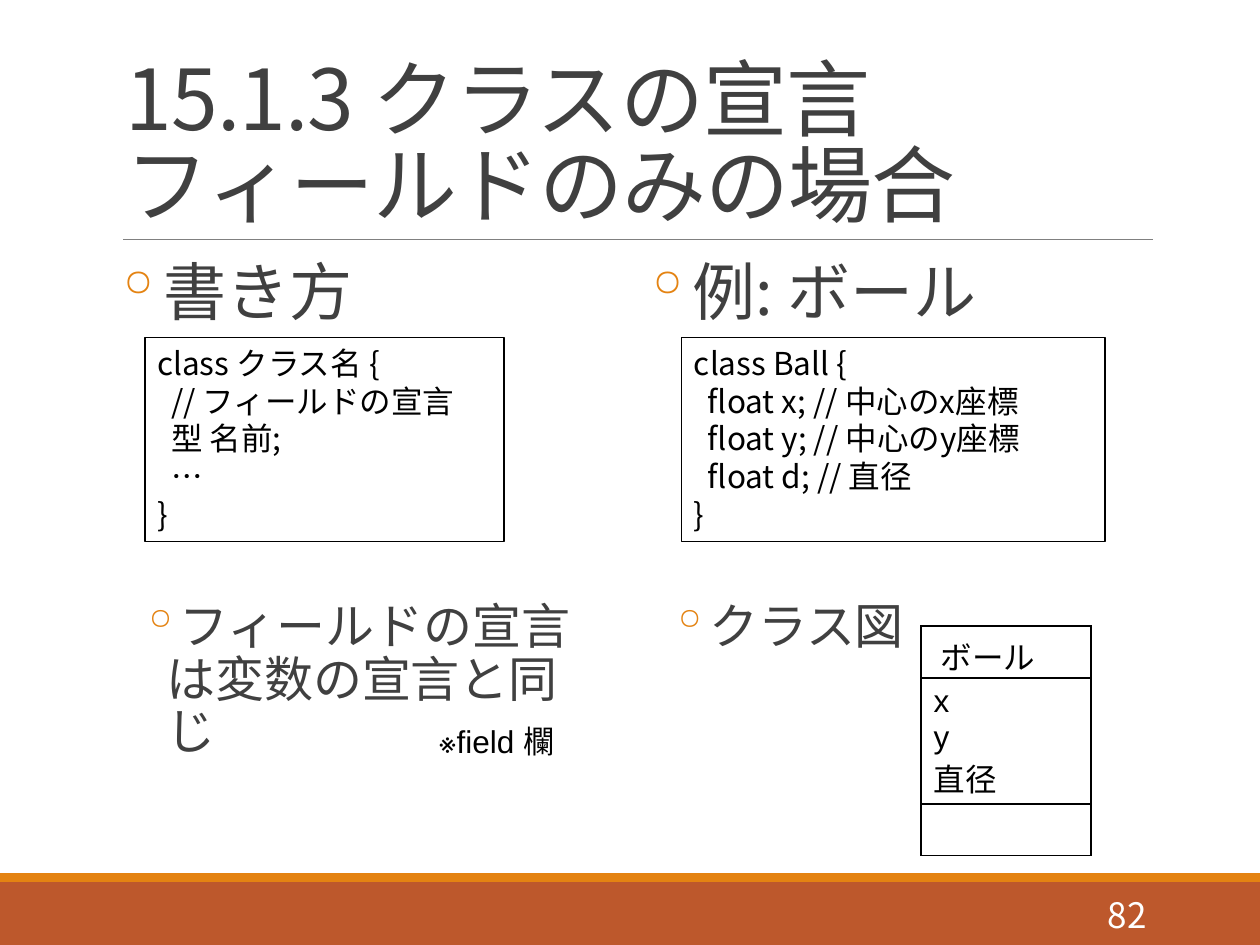
from lxml.etree import SubElement
from pptx import Presentation
from pptx.dml.color import RGBColor
from pptx.enum.shapes import MSO_CONNECTOR, MSO_SHAPE
from pptx.enum.text import MSO_ANCHOR, PP_ALIGN
from pptx.oxml import parse_xml
from pptx.oxml.ns import nsdecls, qn
from pptx.util import Inches, Pt

JAPANESE = "Noto Sans CJK JP"
BLACK, WHITE, GRAY, ORANGE, RUST = "000000", "FFFFFF", "404040", "E48312", "BD582C"


def rgb(hex_color):
    return RGBColor.from_string(hex_color)


def box(left, top, width, height):
    return [Inches(value) for value in (left, top, width, height)]


def write(paragraph, text, size=18, color=BLACK, font=JAPANESE, align=PP_ALIGN.LEFT,
          line=None, before=0, after=0, margin=0, indent=0, tracking=None, bullet=None):
    paragraph.text = text
    paragraph.alignment = align
    paragraph.line_spacing = line
    paragraph.space_before, paragraph.space_after = Pt(before), Pt(after)
    layout = paragraph._p.get_or_add_pPr()
    layout.set("marL", str(Inches(margin)))
    layout.set("indent", str(Inches(indent)))
    if bullet:
        tint = SubElement(layout, qn("a:buClr"))
        SubElement(tint, qn("a:srgbClr")).set("val", ORANGE)
        SubElement(layout, qn("a:buChar")).set("char", bullet)
    for run in paragraph.runs:
        run.font.size, run.font.name = Pt(size), font
        run.font.color.rgb = rgb(color)
        letters = run._r.get_or_add_rPr()
        SubElement(letters, qn("a:ea")).set("typeface", JAPANESE)
        if tracking:
            letters.set("spc", str(int(tracking * 100)))


def add_text_area(slide, place, anchor=MSO_ANCHOR.TOP, wrap=True):
    frame = slide.shapes.add_textbox(*box(*place)).text_frame
    frame.word_wrap, frame.vertical_anchor = wrap, anchor
    return frame


def add_rectangle(slide, place, fill=None, outline=None):
    rectangle = slide.shapes.add_shape(MSO_SHAPE.RECTANGLE, *box(*place))
    rectangle.shadow.inherit = False
    if fill:
        rectangle.fill.solid()
        rectangle.fill.fore_color.rgb = rgb(fill)
    else:
        rectangle.fill.background()
    if outline:
        rectangle.line.color.rgb = rgb(outline)
        rectangle.line.width = Pt(0.75)
    else:
        rectangle.line.fill.background()
    return rectangle


def add_rule(slide, left, right, y):
    rule = slide.shapes.add_connector(
        MSO_CONNECTOR.STRAIGHT, Inches(left), Inches(y), Inches(right), Inches(y))
    rule.line.color.rgb, rule.line.width = rgb("808080"), Pt(0.5)
    SubElement(rule._element.spPr, qn("a:effectLst"))


def add_outline(slide, left, width, heading, detail):
    frame = add_text_area(slide, (left, 2.02, width, 4.4))
    frame.margin_left = frame.margin_right = 0
    write(frame.paragraphs[0], heading, size=36, color=GRAY, line=0.9, before=12,
          after=2, margin=0.1, indent=-0.1, bullet="◦")
    write(frame.add_paragraph(), detail, size=28, color=GRAY, line=0.9, before=154,
          after=4, margin=0.42, indent=-0.2, bullet="◦")


def add_code(slide, left, width, opening, body):
    frame = add_rectangle(slide, (left, 2.68, width, 1.62), outline=BLACK).text_frame
    frame.word_wrap, frame.vertical_anchor = True, MSO_ANCHOR.TOP
    write(frame.paragraphs[0], opening)
    for statement in body:
        write(frame.add_paragraph(), statement, margin=0.11)
    write(frame.add_paragraph(), "}")


def add_borders(cell):
    properties = cell._tc.get_or_add_tcPr()
    for position, side in enumerate(("lnL", "lnR", "lnT", "lnB")):
        properties.insert(position, parse_xml(
            f'<a:{side} {nsdecls("a")} w="{Pt(1)}"><a:solidFill>'
            f'<a:srgbClr val="{BLACK}"/></a:solidFill></a:{side}>'))


def add_class_diagram(slide, place, compartments):
    table = slide.shapes.add_table(len(compartments), 1, *box(*place)).table
    table.first_row = table.horz_banding = False
    for row, (height, content) in zip(table.rows, compartments):
        row.height = Inches(height)
        cell = row.cells[0]
        cell.fill.solid()
        cell.fill.fore_color.rgb = rgb(WHITE)
        add_borders(cell)
        if content:
            write(cell.text_frame.paragraphs[0], content, font="Arial")


def main():
    presentation = Presentation()
    presentation.slide_width, presentation.slide_height = Inches(10), Inches(7.5)
    slide = presentation.slides.add_slide(presentation.slide_layouts[6])

    add_rectangle(slide, (0, 7, 10, 0.5), fill=RUST)
    add_rectangle(slide, (0, 6.93, 10, 0.07), fill=ORANGE)
    add_rule(slide, 0.98, 9.15, 1.9)

    title = add_text_area(slide, (0.9, 0.31, 8.25, 1.59), anchor=MSO_ANCHOR.BOTTOM)
    write(title.paragraphs[0], "15.1.3 クラスの宣言\vフィールドのみの場合",
          size=48, color=GRAY, line=0.85, tracking=-0.5)

    add_outline(slide, 0.9, 3.82, "書き方", "フィールドの宣言は変数の宣言と同じ")
    add_outline(slide, 5.1, 4.05, "例: ボール", "クラス図")

    page = add_text_area(slide, (8.12, 7.06, 1.08, 0.4), anchor=MSO_ANCHOR.MIDDLE)
    write(page.paragraphs[0], "82", size=20, color=WHITE, align=PP_ALIGN.RIGHT)

    add_code(slide, 1.15, 2.85, "class クラス名 {",
             ["// フィールドの宣言", "型 名前;", "…"])
    add_code(slide, 5.41, 3.36, "class Ball {",
             ["float x; // 中心のx座標", "float y; // 中心のy座標", "float d; // 直径"])

    remark = add_text_area(slide, (3.38, 5.68, 1.22, 0.4), wrap=False)
    write(remark.paragraphs[0], "※field 欄", font="Arial")

    add_class_diagram(slide, (7.31, 4.97, 1.35, 1.81),
                      [(0.41, " ボール"), (0.99, "x\vy\v直径"), (0.41, "")])

    presentation.save("out.pptx")


if __name__ == "__main__":
    main()
